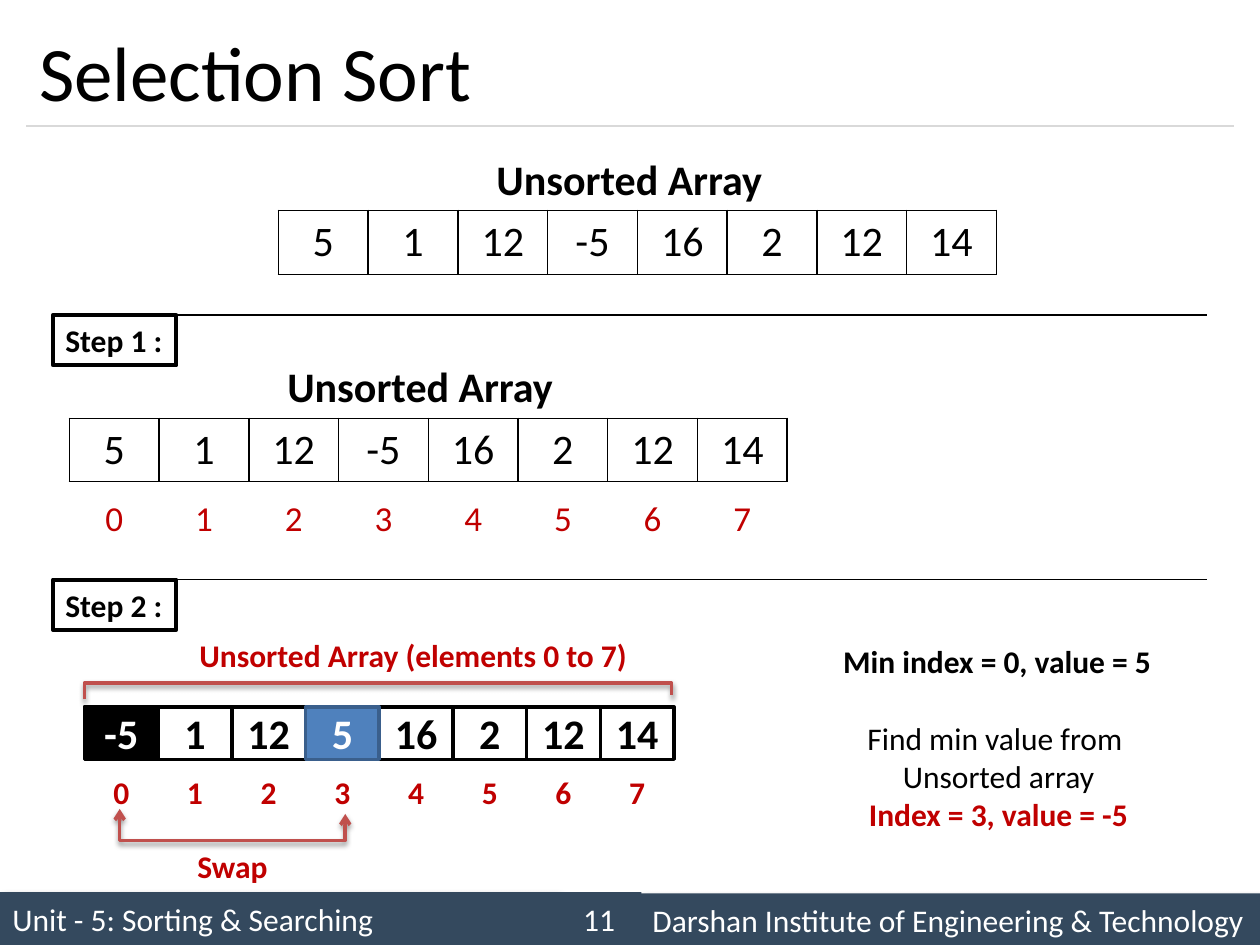
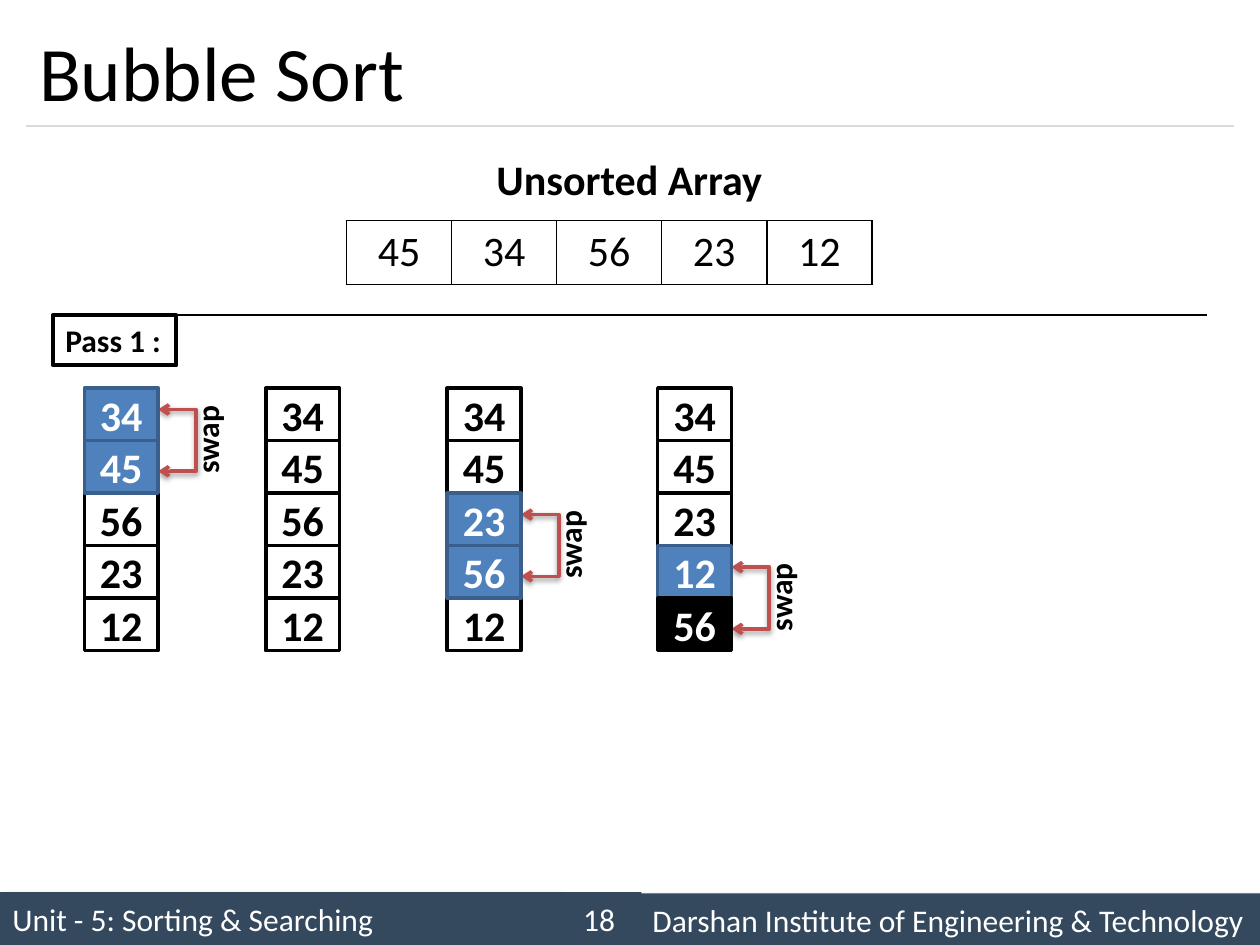
import pptx
import pptx.util
import pptx.dml.color
import pptx.enum.shapes
import pptx.enum.text
import pptx.oxml
import pptx.oxml.ns
from lxml import etree

Inches = pptx.util.Inches
Pt = pptx.util.Pt
qn = pptx.oxml.ns.qn
RECT = pptx.enum.shapes.MSO_SHAPE.RECTANGLE
MIDDLE = pptx.enum.text.MSO_ANCHOR.MIDDLE
TOP = pptx.enum.text.MSO_ANCHOR.TOP
LEFT = pptx.enum.text.PP_ALIGN.LEFT
CENTER = pptx.enum.text.PP_ALIGN.CENTER

FONT = "Calibri"
BLACK, WHITE, GRAY = "000000", "FFFFFF", "D9D9D9"
NAVY, RED, CORAL = "34495E", "C00000", "C0504D"
BLUE, EDGE = "4F81BD", "3A5F8C"
WIDE, HIGH = 0.585, 0.417
PLAIN, MARK, DONE = (WHITE, BLACK, BLACK), (BLUE, EDGE, WHITE), (BLACK, BLACK, WHITE)
FOOT_GLOW = (40, 4, 3, 45)
LINE_GLOW = (38, 3.1, 1.6, 90)


def color(code):
    return pptx.dml.color.RGBColor.from_string(code)


def style(par, size, tint, bold=False, align=CENTER):
    par.alignment = align
    font = par.font
    font.name, font.size, font.bold = FONT, Pt(size), bold
    font.color.rgb = color(tint)


def glow(shape, alpha, blur, dist, angle):
    shape.shadow.inherit = False
    effects = shape.element.spPr.find(qn("a:effectLst"))
    outer = etree.SubElement(effects, qn("a:outerShdw"), blurRad=str(Pt(blur)),
                             dist=str(Pt(dist)), dir=str(angle * 60000), rotWithShape="0")
    tint = etree.SubElement(outer, qn("a:srgbClr"), val=BLACK)
    etree.SubElement(tint, qn("a:alpha"), val=str(alpha * 1000))


def box(slide, place, text, size, tint, fill=None, edge=None, weight=2,
        bold=True, align=CENTER, anchor=MIDDLE):
    shape = slide.shapes.add_shape(RECT, *map(Inches, place))
    shape.shadow.inherit = False
    if fill:
        shape.fill.solid()
        shape.fill.fore_color.rgb = color(fill)
    else:
        shape.fill.background()
    if edge:
        shape.line.color.rgb = color(edge)
        shape.line.width = Pt(weight)
    else:
        shape.line.fill.background()
    frame = shape.text_frame
    frame.word_wrap = True
    frame.vertical_anchor = anchor
    frame.text = text
    style(frame.paragraphs[0], size, tint, bold, align)
    return shape


def note(slide, place, lines, wrap=False, turn=False):
    frame = slide.shapes.add_textbox(*map(Inches, place)).text_frame
    frame.word_wrap = wrap
    frame.text = "\n".join(line[0] for line in lines)
    for par, (_, size, tint, bold) in zip(frame.paragraphs, lines):
        style(par, size, tint, bold)
    if turn:
        frame._txBody.bodyPr.set("vert", "vert270")


def rule(slide, left, right, top, tint):
    line = slide.shapes.add_connector(pptx.enum.shapes.MSO_CONNECTOR.STRAIGHT,
                                      Inches(left), Inches(top), Inches(right), Inches(top))
    line.line.color.rgb = color(tint)
    line.line.width = Pt(0.75)
    etree.SubElement(line.element.spPr, qn("a:effectLst"))


def trace(slide, points, arrows=False):
    start, *rest = [(Inches(x), Inches(y)) for x, y in points]
    pen = slide.shapes.build_freeform(*start)
    pen.add_line_segments(rest, close=False)
    shape = pen.convert_to_shape()
    shape.fill.background()
    shape.line.color.rgb = color(CORAL)
    shape.line.width = Pt(2)
    if arrows:
        line = shape.element.spPr.find(qn("a:ln"))
        for end in ("a:headEnd", "a:tailEnd"):
            etree.SubElement(line, qn(end), type="arrow")
    glow(shape, *LINE_GLOW)


def border(cell):
    props = cell._tc.get_or_add_tcPr()
    for spot, side in enumerate(("a:lnL", "a:lnR", "a:lnT", "a:lnB")):
        line = etree.Element(qn(side), w=str(Pt(1)))
        fill = etree.SubElement(line, qn("a:solidFill"))
        etree.SubElement(fill, qn("a:srgbClr"), val=BLACK)
        props.insert(spot, line)


def array(slide, left, top, width, height, values, size=24, tint=BLACK, lined=True):
    table = slide.shapes.add_table(1, len(values), Inches(left), Inches(top),
                                   Inches(width), Inches(height)).table
    table.first_row = table.horz_banding = False
    for cell, value in zip(table.rows[0].cells, values):
        cell.fill.background()
        cell.text = str(value)
        style(cell.text_frame.paragraphs[0], size, tint)
        if lined:
            border(cell)


def cells(slide, left, top, values, marks, down=False):
    for look in (PLAIN, MARK, DONE):
        fill, edge, tint = look
        for spot, value in enumerate(values):
            if marks.get(spot, PLAIN) == look:
                x = left + (0 if down else spot * WIDE)
                y = top + (spot * HIGH if down else 0)
                box(slide, (x, y, WIDE, HIGH), str(value), 24, tint, fill, edge)


def swap(slide, left, top):
    near, far = left + WIDE, left + WIDE + 0.3
    high, low = top + 0.17, top + 0.66
    trace(slide, [(near, high), (far, high), (far, low), (near, low)], True)
    note(slide, (left + 0.77, top + 0.09, 0.5, 0.64),
         [("swap", 18, BLACK, True)], turn=True)


def head(slide, left, top):
    note(slide, (left, top, 2.33, 0.5), [("Unsorted Array", 24, BLACK, True)])


def stage(slide, top, text):
    rule(slide, 0.42, 9.58, top, BLACK)
    box(slide, (0.42, top, 0.98, 0.4), text, 18, BLACK, edge=BLACK,
        weight=2.25, align=LEFT, anchor=TOP)


def page(deck, title, number):
    slide = deck.slides.add_slide(deck.slide_layouts[5])
    for place, text in (((0, 7.08, 4.42, 0.42), "Unit - 5: Sorting & Searching"),
                        ((5.08, 7.09, 4.92, 0.42),
                         "Darshan Institute of Engineering & Technology")):
        band = box(slide, place, text, 18, WHITE, NAVY, bold=False, align=LEFT)
        glow(band, *FOOT_GLOW)
    box(slide, (4.42, 7.08, 0.67, 0.42), str(number), 18, WHITE, NAVY, bold=False)
    rule(slide, 0.21, 9.79, 1, GRAY)
    name = slide.shapes.title
    name.left, name.top, name.width, name.height = map(Inches, (0.21, 0.12, 9.58, 0.88))
    name.text_frame.text = title
    name.text_frame.vertical_anchor = MIDDLE
    style(name.text_frame.paragraphs[0], 44, BLACK, align=LEFT)
    return slide


def select(deck):
    slide = page(deck, "Selection Sort", 11)
    values = [5, 1, 12, -5, 16, 2, 12, 14]
    array(slide, 2.21, 1.67, 5.7, 0.5, values)
    head(slide, 3.83, 1.17)

    stage(slide, 2.5, "Step 1 :")
    array(slide, 0.55, 3.32, 5.7, 0.5, values)
    head(slide, 2.17, 2.81)
    array(slide, 0.55, 3.9, 5.7, 0.43, range(8), 20, RED, False)

    stage(slide, 4.6, "Step 2 :")
    note(slide, (6.58, 5.05, 2.67, 0.4), [("Min index = 0, value = 5", 18, BLACK, True)])
    note(slide, (6.77, 5.66, 2.31, 1.01), [("Find min value from ", 18, BLACK, False),
                                           ("Unsorted array", 18, BLACK, False),
                                           ("Index = 3, value = -5", 18, RED, True)])
    for spot in range(8):
        box(slide, (0.67 + spot * WIDE, 6.08, WIDE, HIGH), str(spot), 18, RED, WHITE)
    trace(slide, [(0.67, 5.55), (0.67, 5.42), (5.33, 5.42), (5.33, 5.52)])
    note(slide, (1.24, 5, 4.08, 0.4),
         [("Unsorted Array (elements 0 to 7)", 18, RED, True)], wrap=True)
    trace(slide, [(0.95, 6.42), (0.95, 6.67), (2.74, 6.67), (2.74, 6.46)], True)
    note(slide, (1.35, 6.67, 0.99, 0.4), [("Swap", 18, RED, True)], wrap=True)
    cells(slide, 0.67, 5.61, [-5, 1, 12, 5, 16, 2, 12, 14], {0: DONE, 3: MARK})


def bubble(deck):
    slide = page(deck, "Bubble Sort", 18)
    array(slide, 2.75, 1.75, 4.17, 0.5, [45, 34, 56, 23, 12])
    head(slide, 3.83, 1.17)
    stage(slide, 2.5, "Pass 1 :")
    top = 3.08
    for left, values, first, marks in (
            (0.67, [34, 45, 56, 23, 12], 0, {0: MARK, 1: MARK}),
            (2.11, [34, 45, 56, 23, 12], None, {}),
            (3.55, [34, 45, 23, 56, 12], 2, {2: MARK, 3: MARK}),
            (5.22, [34, 45, 23, 12, 56], 3, {3: MARK, 4: DONE})):
        if first is not None:
            swap(slide, left, top + first * HIGH)
        cells(slide, left, top, values, marks, down=True)


def main():
    deck = pptx.Presentation()
    deck.slide_width, deck.slide_height = Inches(10), Inches(7.5)
    select(deck)
    bubble(deck)
    deck.save("out.pptx")


if __name__ == "__main__":
    main()
